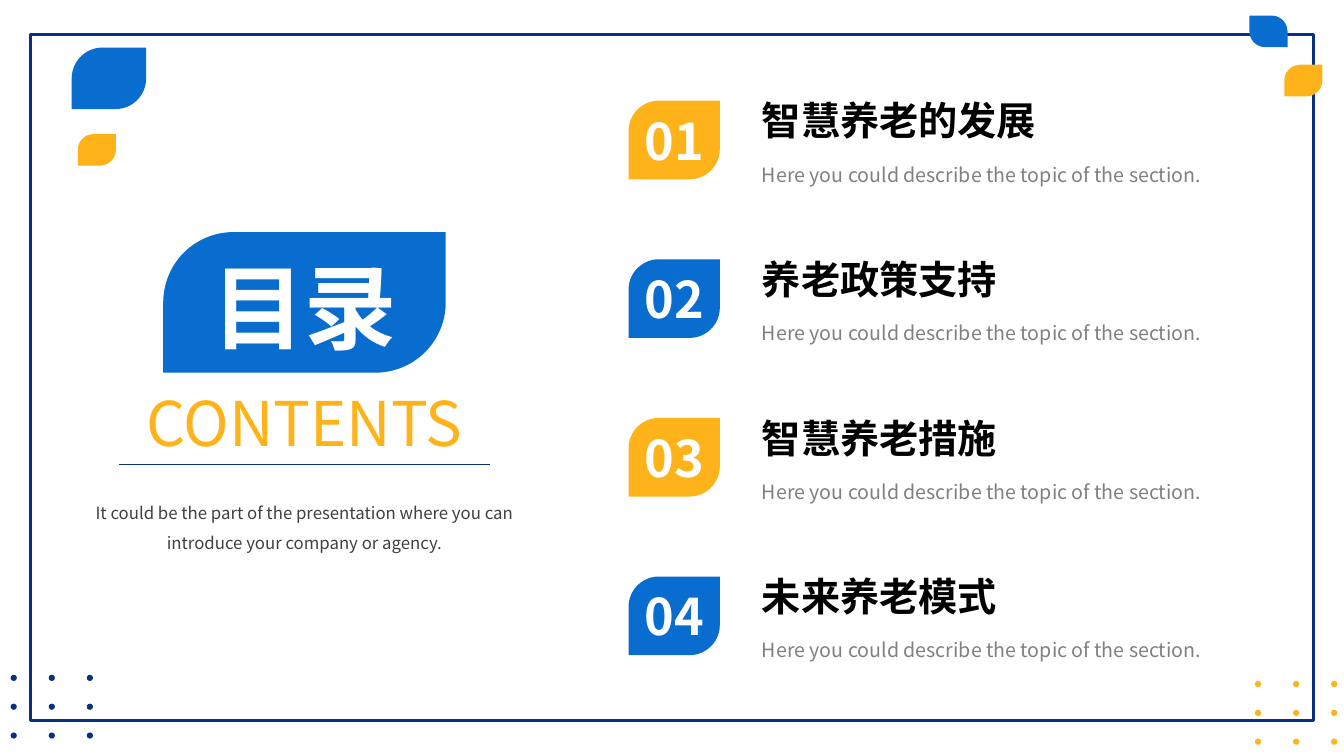
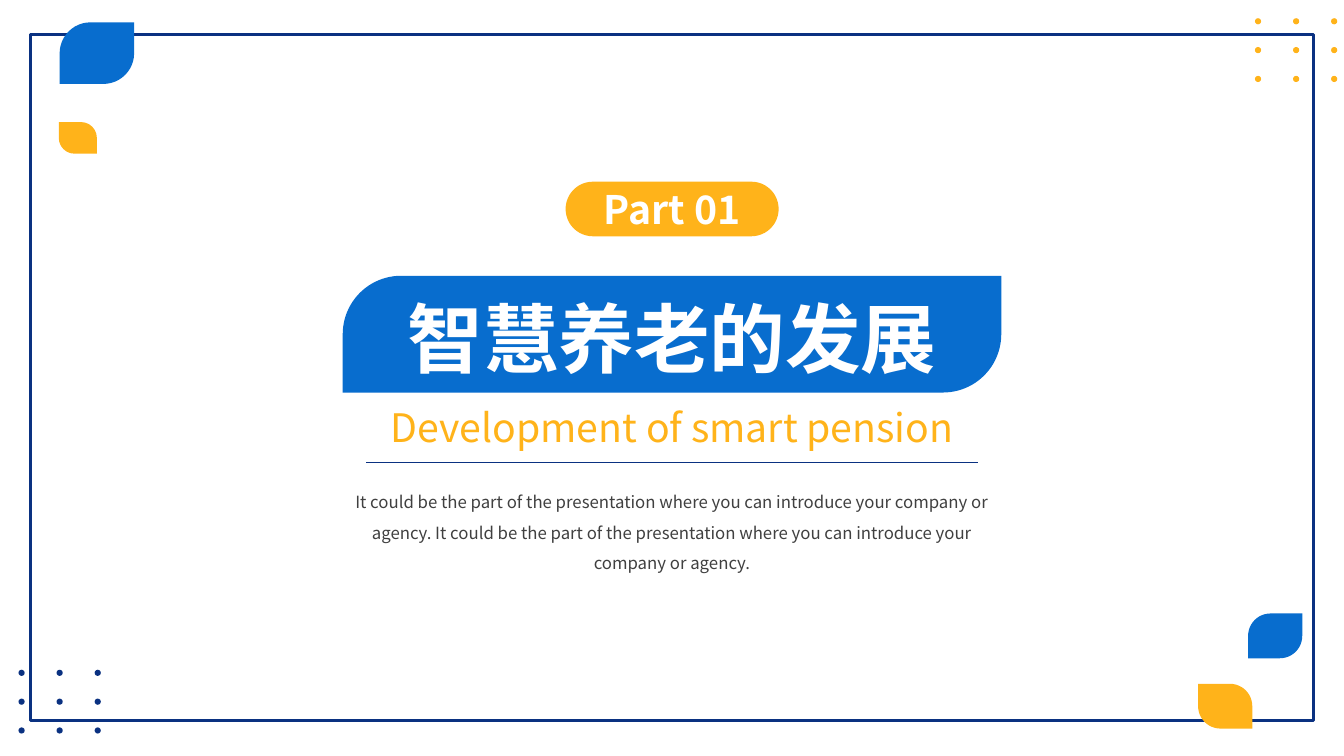
"""Builds a contents slide and a section slide that share a frame, leaf shapes and dot grids."""
import itertools

import pptx
import pptx.dml.color
import pptx.enum.shapes
import pptx.enum.text
import pptx.oxml
import pptx.oxml.ns
import pptx.util

Pt = pptx.util.Pt
SHAPE = pptx.enum.shapes.MSO_SHAPE
ALIGN = pptx.enum.text.PP_ALIGN
ANCHOR = pptx.enum.text.MSO_ANCHOR
FONT = "Noto Sans CJK SC"
COLORS = {
    "navy": "0A3181",
    "blue": "086DCE",
    "amber": "FFB31A",
    "white": "FFFFFF",
    "black": "000000",
    "body": "404040",
    "muted": "808080",
}
INTRO = "It could be the part of the presentation where you can introduce your company or agency."
TOPIC = "Here you could describe the topic of the section."
SECTIONS = ["智慧养老的发展", "养老政策支持", "智慧养老措施", "未来养老模式"]


def rgb(name):
    return pptx.dml.color.RGBColor.from_string(COLORS[name])


def write(sp, text, size, color, bold=False, align=ALIGN.CENTER, spacing=1.0,
          anchor=ANCHOR.TOP, inset=(7.2, 3.6), wrap=True):
    tf = sp.text_frame
    tf.auto_size = pptx.enum.text.MSO_AUTO_SIZE.NONE
    tf.word_wrap = wrap
    tf.vertical_anchor = anchor
    tf.margin_left = tf.margin_right = Pt(inset[0])
    tf.margin_top = tf.margin_bottom = Pt(inset[1])
    p = tf.paragraphs[0]
    p.alignment = align
    p.line_spacing = spacing
    p.space_before = Pt(0)
    r = p.add_run()
    r.text = text
    r.font.name = FONT
    r.font.size = Pt(size)
    r.font.bold = bold
    r.font.color.rgb = rgb(color)
    ea = pptx.oxml.parse_xml(f'<a:ea {pptx.oxml.ns.nsdecls("a")} typeface="{FONT}"/>')
    r.font._element.find(pptx.oxml.ns.qn("a:latin")).addnext(ea)


def add_text(s, box, text, size, color, **style):
    write(s.shapes.add_textbox(*map(Pt, box)), text, size, color, **style)


def fill_placeholder(s, sp, box, text, size, color, **style):
    sp.left, sp.top, sp.width, sp.height = map(Pt, box)
    s.shapes.element.append(sp.element)
    write(sp, text, size, color, **style)


def add_solid(s, kind, box, color, adjustments=()):
    sp = s.shapes.add_shape(kind, *map(Pt, box))
    sp.shadow.inherit = False
    sp.fill.solid()
    sp.fill.fore_color.rgb = rgb(color)
    sp.line.fill.background()
    for i, value in enumerate(adjustments):
        sp.adjustments[i] = value
    return sp


def add_leaf(s, box, color, curve=0.5, mirrored=False):
    corners = (0, curve) if mirrored else (curve, 0)
    return add_solid(s, SHAPE.ROUND_2_DIAG_RECTANGLE, box, color, corners)


def add_label(sp, text, size):
    write(sp, text, size, "white", bold=True, anchor=ANCHOR.MIDDLE, inset=(0, 0), wrap=False)


def add_frame(s):
    sp = s.shapes.add_shape(SHAPE.RECTANGLE, Pt(21.6), Pt(24.5), Pt(916.6), Pt(490.3))
    sp.shadow.inherit = False
    sp.fill.background()
    sp.line.color.rgb = rgb("navy")
    sp.line.width = Pt(2)


def add_dots(s, left, top, color):
    for row, col in itertools.product(range(3), repeat=2):
        add_solid(s, SHAPE.OVAL, (left + 27.2 * col, top + 20.6 * row, 4.4, 4.4), color)


def add_rule(s, left, top, width):
    line = s.shapes.add_connector(pptx.enum.shapes.MSO_CONNECTOR.STRAIGHT,
                                  Pt(left), Pt(top), Pt(left + width), Pt(top))
    line.line.color.rgb = rgb("navy")
    line.line.width = Pt(1)
    line._element.spPr.append(
        pptx.oxml.parse_xml(f'<a:effectLst {pptx.oxml.ns.nsdecls("a")}/>'))


def add_headline(s, box, title, title_size, subtitle, subtitle_size, intro, intro_width,
                 rule_width, gaps):
    left, top, width, height = box
    center, bottom = left + width / 2, top + height
    subtitle_gap, rule_gap, intro_gap = gaps
    add_leaf(s, box, "blue")
    fill_placeholder(s, s.shapes.title, (left, top + 2, width, height), title, title_size,
                     "white", bold=True, anchor=ANCHOR.MIDDLE, inset=(0, 0))
    add_text(s, (center - 250, bottom + subtitle_gap, 500, subtitle_size * 1.45 + 7.2),
             subtitle, subtitle_size, "amber")
    add_rule(s, center - rule_width / 2, bottom + rule_gap, rule_width)
    fill_placeholder(s, s.placeholders[1],
                     (center - intro_width / 2, bottom + intro_gap, intro_width, 72),
                     intro, 12, "body", spacing=1.5)


def add_entry(s, left, top, number, heading, color):
    add_label(add_leaf(s, (left, top, 65.2, 56.2), color, 0.385), f"{number:02d}", 36)
    add_text(s, (left + 88.2, top - 6.4, 290, 41), heading, 28, "black",
             bold=True, align=ALIGN.LEFT)
    add_text(s, (left + 88.2, top + 32.2, 338.4, 30.2), TOPIC, 14, "muted",
             align=ALIGN.LEFT, spacing=1.5)


def new_slide(prs):
    s = prs.slides.add_slide(prs.slide_layouts[0])
    add_frame(s)
    return s


def build_contents(prs):
    s = new_slide(prs)
    add_headline(s, (116.6, 165.8, 201.8, 100.4), "目录", 66, "CONTENTS", 44, INTRO, 332,
                 264.6, (5, 65.6, 82.2))
    add_dots(s, 7.6, 482, "navy")
    add_dots(s, 896.4, 486.4, "amber")
    add_leaf(s, (51.2, 34, 53.2, 44), "blue")
    add_leaf(s, (55.6, 95.7, 27.2, 22.6), "amber")
    add_leaf(s, (892.5, 11.1, 27.2, 22.6), "blue", mirrored=True)
    add_leaf(s, (917.4, 46.2, 27.2, 22.6), "amber")
    for i, heading in enumerate(SECTIONS):
        add_entry(s, 449, 71.9 + 113.3 * i, i + 1, heading, ("amber", "blue")[i % 2])


def build_section(prs):
    s = new_slide(prs)
    add_dots(s, 13.2, 478.4, "navy")
    add_dots(s, 896.4, 13, "amber")
    add_leaf(s, (42.6, 16, 53.2, 44), "blue")
    add_leaf(s, (42, 87.2, 27.2, 22.6), "amber", mirrored=True)
    add_leaf(s, (891.5, 438.2, 38.7, 32), "blue")
    add_leaf(s, (855.8, 488.4, 38.7, 32), "amber", mirrored=True)
    pill = add_solid(s, SHAPE.ROUNDED_RECTANGLE, (404, 129.8, 152.2, 39), "amber", (0.5,))
    add_label(pill, "Part 01", 28)
    add_headline(s, (244.8, 197, 470.4, 83.4), SECTIONS[0], 54, "Development of smart pension",
                 28, f"{INTRO} {INTRO}", 470.4, 436.8, (4, 50, 60.2))


def main():
    prs = pptx.Presentation()
    prs.slide_width, prs.slide_height = Pt(960), Pt(540)
    build_contents(prs)
    build_section(prs)
    prs.save("out.pptx")


if __name__ == "__main__":
    main()
